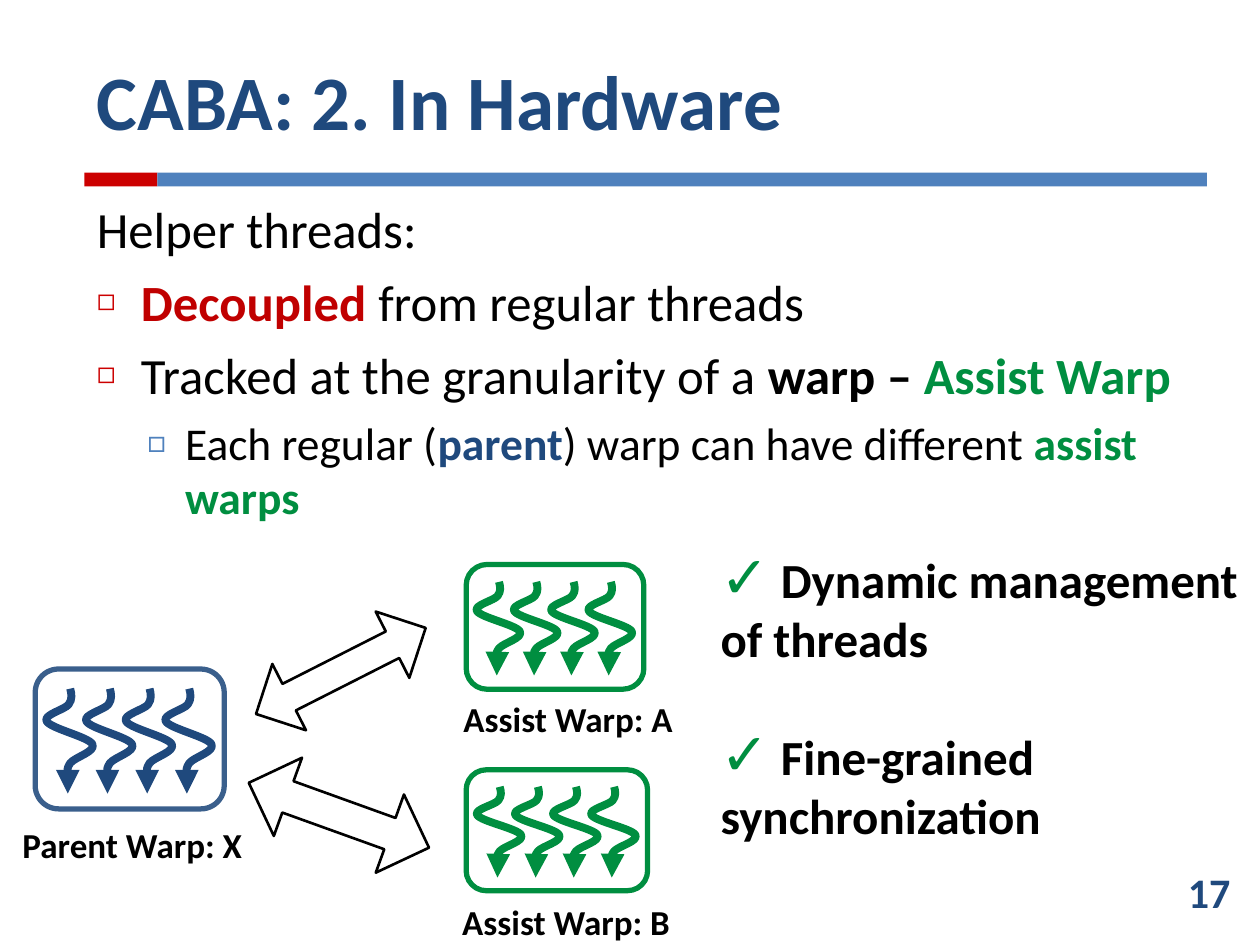
from dataclasses import dataclass

from lxml.etree import SubElement
from pptx import Presentation
from pptx.dml.color import RGBColor
from pptx.enum.shapes import MSO_SHAPE as Shape
from pptx.enum.text import MSO_ANCHOR as Anchor
from pptx.oxml.ns import qn
from pptx.util import Inches, Pt


@dataclass(frozen=True)
class Theme:
    """Colours, font and type sizes of the slide."""
    font: str = "Calibri"
    navy: str = "1F497D"
    blue: str = "4F81BD"
    frame_blue: str = "3A5F8C"
    red: str = "CC0000"
    dark_red: str = "C00000"
    green: str = "008E40"
    black: str = "000000"
    white: str = "FFFFFF"
    title: int = 44
    body: int = 29
    sub: int = 26
    benefit: int = 28
    number: int = 24
    label: int = 20


THEME = Theme()
WAVE_START = (0.5, 0)
WAVE_CURVES = (
    ((0.53, 0.05), (0.55, 0.1), (0.47, 0.15)),
    ((0.39, 0.2), (-0.08, 0.25), (0, 0.31)),
    ((0.08, 0.38), (0.89, 0.46), (0.97, 0.53)),
    ((1.05, 0.6), (0.61, 0.65), (0.5, 0.71)),
    ((0.42, 0.77), (0.45, 0.83), (0.45, 0.88)),
    ((0.43, 0.93), (0.45, 1), (0.45, 1)),
)
THREADS_PER_WARP = 4


def rgb(color):
    """Turn a hex string into a colour."""
    return RGBColor.from_string(color)


def inches(*lengths):
    """Convert several lengths to Inches."""
    return [Inches(length) for length in lengths]


def style(shape, fill=None, line=None, weight=0):
    """Set fill and outline, and drop the shadow."""
    shape.shadow.inherit = False
    if fill:
        shape.fill.solid()
        shape.fill.fore_color.rgb = rgb(fill)
    else:
        shape.fill.background()
    if line:
        shape.line.color.rgb = rgb(line)
        shape.line.width = Pt(weight)
    else:
        shape.line.fill.background()


def add_text_frame(slide, place, anchor=Anchor.TOP):
    """Add a wrapping text box and return its frame."""
    frame = slide.shapes.add_textbox(*inches(*place)).text_frame
    frame.word_wrap = True
    frame.vertical_anchor = anchor
    return frame


def add_runs(paragraph, size, *runs):
    """Add runs given as (text, colour, bold)."""
    for text, color, bold in runs:
        run = paragraph.add_run()
        run.text = text
        run.font.name = THEME.font
        run.font.size = Pt(size)
        run.font.bold = bold
        run.font.color.rgb = rgb(color)


def add_bullet(paragraph, symbol, color, percent, margin=0, hanging=0):
    """Give a paragraph a coloured bullet and a hanging indent."""
    props = paragraph._p.get_or_add_pPr()
    props.set("marL", str(Inches(margin)))
    props.set("indent", str(-Inches(hanging)))
    SubElement(SubElement(props, qn("a:buClr")), qn("a:srgbClr"), val=color)
    SubElement(props, qn("a:buSzPct"), val=str(percent * 1000))
    SubElement(props, qn("a:buFont"), typeface=THEME.font)
    SubElement(props, qn("a:buChar"), char=symbol)


def add_line_of_text(slide, place, text, size, color, anchor=Anchor.TOP):
    """Add a single bold line of text."""
    frame = add_text_frame(slide, place, anchor)
    add_runs(frame.paragraphs[0], size, (text, color, True))


def add_title_rule(slide):
    """Add the two-coloured bar under the title."""
    for left, width, color in ((0.67, 0.58, THEME.red), (1.25, 8.33, THEME.blue)):
        bar = slide.shapes.add_shape(Shape.RECTANGLE, *inches(left, 1.37, width, 0.11))
        style(bar, color)


def add_helper_points(slide):
    """Add the explanation of helper threads."""
    t = THEME
    top_bullet = ("◻", t.red, 60, 0.35, 0.35)
    sub_bullet = ("□", t.blue, 70, 0.7, 0.3)
    points = (
        (t.body, 7, None, [("Helper threads:", t.black, False)]),
        (t.body, 7, top_bullet, [("Decoupled", t.dark_red, True),
                                 (" from regular threads", t.black, False)]),
        (t.body, 7, top_bullet, [("Tracked at the granularity of a ", t.black, False),
                                 ("warp – ", t.black, True),
                                 ("Assist Warp", t.green, True)]),
        (t.sub, 5.5, sub_bullet, [("Each regular (", t.black, False), ("parent", t.navy, True),
                                  (") warp can have different ", t.black, False),
                                  ("assist warps", t.green, True)]),
    )
    frame = add_text_frame(slide, (0.67, 1.52, 8.92, 4.92))
    for index, (size, gap, bullet, runs) in enumerate(points):
        point = frame.add_paragraph() if index else frame.paragraphs[0]
        point.level = int(bullet is sub_bullet)
        point.space_before = Pt(gap)
        if bullet:
            add_bullet(point, *bullet)
        add_runs(point, size, *runs)


def add_benefits(slide):
    """Add the ticked benefits."""
    frame = add_text_frame(slide, (5.62, 4.31, 4.35, 3.23))
    for index, text in enumerate((" Dynamic management of threads", " Fine-grained synchronization")):
        benefit = frame.add_paragraph() if index else frame.paragraphs[0]
        benefit.space_before = Pt(34 * index)
        add_bullet(benefit, "✓", THEME.green, 120)
        add_runs(benefit, THEME.benefit, (text, THEME.black, True))


def bend_segments(freeform, width, height):
    """Turn the straight segments of a thread into its Bézier curves."""
    segments = list(freeform._element.iter(qn("a:lnTo")))
    for segment, curve in zip(segments, WAVE_CURVES):
        outline = segment.getparent()
        bend = SubElement(outline, qn("a:cubicBezTo"))
        for x, y in curve:
            SubElement(bend, qn("a:pt"), x=str(Inches(x * width)), y=str(Inches(y * height)))
        outline.remove(segment)


def add_thread(group, left, top, width, height, color):
    """Add one wavy thread ending in an arrowhead."""
    anchors = [WAVE_START] + [curve[-1] for curve in WAVE_CURVES]
    first, *rest = [inches(left + x * width, top + y * height) for x, y in anchors]
    builder = group.shapes.build_freeform(*first)
    builder.add_line_segments(rest, close=False)
    thread = builder.convert_to_shape()
    bend_segments(thread, width, height)
    style(thread, THEME.white, color, 4.5)
    SubElement(thread.line._get_or_add_ln(), qn("a:tailEnd"), type="triangle")


def add_warp(slide, place, frame_color, thread_color):
    """Add a rounded frame holding a row of threads."""
    left, top, width, height = place
    group = slide.shapes.add_group_shape()
    frame = group.shapes.add_shape(Shape.ROUNDED_RECTANGLE, *inches(*place))
    style(frame, THEME.white, frame_color, 3)
    for index in range(THREADS_PER_WARP):
        add_thread(group, left + (0.06 + 0.21 * index) * width, top + 0.14 * height,
                   0.25 * width, 0.75 * height, thread_color)


def add_exchange(slide, place, rotation):
    """Add a two-way block arrow between warps."""
    arrow = slide.shapes.add_shape(Shape.LEFT_RIGHT_ARROW, *inches(*place))
    arrow.adjustments[0], arrow.adjustments[1] = 0.4, 0.5
    arrow.rotation = rotation
    style(arrow, line=THEME.black, weight=1.5)


def main():
    """Build and save the slide."""
    t = THEME
    deck = Presentation()
    deck.slide_width, deck.slide_height = inches(10, 7.5)
    slide = deck.slides.add_slide(deck.slide_layouts[6])

    add_title_rule(slide)
    add_line_of_text(slide, (0.67, 0.25, 8.92, 1.08), "CABA: 2. In Hardware",
                     t.title, t.navy, Anchor.MIDDLE)
    add_helper_points(slide)

    add_warp(slide, (0.28, 5.31, 1.5, 1.11), t.frame_blue, t.navy)
    add_exchange(slide, (1.95, 5.03, 1.51, 0.59), 153.1)
    add_exchange(slide, (1.93, 6.14, 1.52, 0.66), 199.8)
    add_warp(slide, (3.7, 4.48, 1.41, 0.99), t.green, t.green)
    add_warp(slide, (3.7, 6.11, 1.44, 0.96), t.green, t.green)
    for left, top, width, name in ((0.08, 6.49, 2.08, "Parent Warp: X"),
                                   (3.58, 5.49, 2.02, "Assist Warp: A"),
                                   (3.57, 7.1, 2.19, "Assist Warp: B")):
        add_line_of_text(slide, (left, top, width, 0.44), name, t.label, t.black)

    add_line_of_text(slide, (9.33, 6.83, 0.67, 0.67), "17", t.number, t.navy)
    add_benefits(slide)
    deck.save("out.pptx")


if __name__ == "__main__":
    main()
